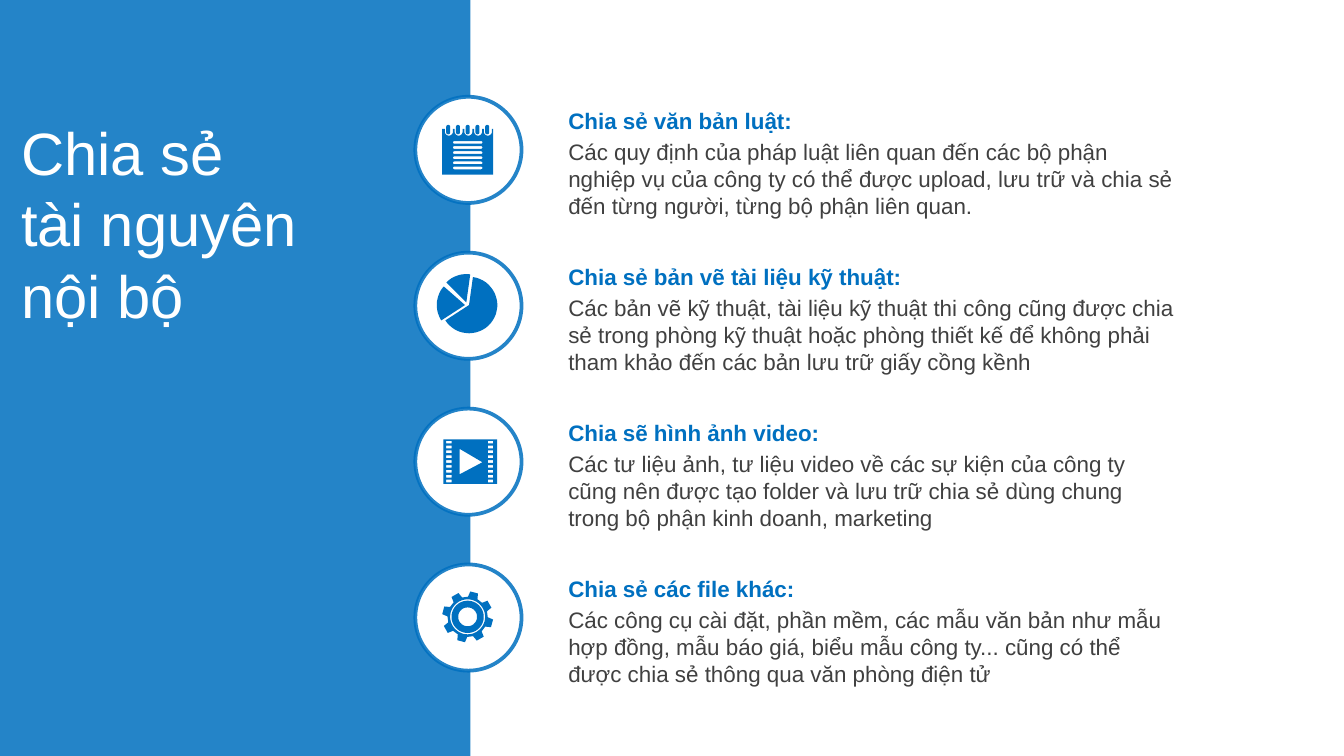
from dataclasses import dataclass
from math import cos, radians, sin

from lxml import etree
from pptx import Presentation
from pptx import util as u
from pptx.dml.color import RGBColor
from pptx.enum import shapes, text
from pptx.oxml import ns

WIDE = 10
HIGH = WIDE * 9 / 16


@dataclass(frozen=True)
class Theme:
    font: str = "Arial"
    blue: str = "0070C0"
    white: str = "FFFFFF"
    grey: str = "404040"
    big: int = 32
    small: int = 12


def arc(x, y, r, start, end, steps=12):
    turns = [radians(start + (end - start) * i / steps) for i in range(steps + 1)]
    return [(x + r * cos(t), y + r * sin(t)) for t in turns]


def ring(x, y, r):
    return arc(x, y, r, 0, 360, 48)


def box(x, y, w, h):
    return [(x, y), (x + w, y), (x + w, y + h), (x, y + h)]


def pill(x, y, w, h):
    r = min(w, h) / 2
    left, right, top, low = x + r, x + w - r, y + r, y + h - r
    return (arc(left, low, r, 90, 180, 4) + arc(left, top, r, 180, 270, 4)
            + arc(right, top, r, 270, 360, 4) + arc(right, low, r, 0, 90, 4))


def wedge(x, y, r, start, end):
    return [(x, y)] + arc(x, y, r, start, end, 32)


def note():
    mids = [3.34 + 0.29 * i / 4 for i in range(5)]
    page = [(3.29, 0.96)]
    for x in mids:
        page += [(x - 0.03, 0.96), *arc(x, 0.98, 0.03, 180, 0), (x + 0.03, 0.96)]
    page += [(3.67, 0.96), (3.67, 1.3), (3.29, 1.3)]
    lines = [pill(3.37, 1.05 + 0.19 * i / 5, 0.22, 0.02) for i in range(6)]
    return [page] + lines + [pill(x - 0.02, 0.93, 0.03, 0.07) for x in mids]


def pie():
    return [wedge(3.46, 2.27, 0.21, 147, 221),
            wedge(3.49, 2.27, 0.21, -82, 147),
            wedge(3.47, 2.25, 0.21, 225, 278)]


def film():
    holes = [box(x, 3.28 + 0.29 * i / 8, 0.04, 0.02)
             for x in (3.32, 3.63) for i in range(9)]
    return [box(3.3, 3.27, 0.4, 0.33), [(3.42, 3.34), (3.59, 3.44), (3.42, 3.53)]] + holes


def gear():
    x, y = 3.48, 4.59
    rim = []
    for i in range(8):
        mid = 45 * i - 75
        for r, turn in ((0.15, -14), (0.19, -9), (0.19, 9), (0.15, 14)):
            rim += arc(x, y, r, mid + turn, mid + turn, 1)[:1]
    return [rim] + [ring(x, y, r) for r in (0.13, 0.12, 0.07)]


class Deck:
    def __init__(self, theme):
        self.theme = theme
        self.file = Presentation()
        self.file.slide_width = u.Inches(WIDE)
        self.file.slide_height = u.Inches(HIGH)
        self.slide = self.file.slides.add_slide(self.file.slide_layouts[6])

    def fade(self, fill, part):
        color = fill._xPr.find(".//" + ns.qn("a:srgbClr"))
        etree.SubElement(color, ns.qn("a:alpha")).set("val", str(part * 1000))

    def paint(self, shape, color):
        shape.shadow.inherit = False
        shape.fill.solid()
        shape.fill.fore_color.rgb = RGBColor.from_string(color)
        shape.line.fill.background()

    def shape(self, kind, x, y, w, h, color):
        item = self.slide.shapes.add_shape(kind, *map(u.Inches, (x, y, w, h)))
        self.paint(item, color)
        return item

    def panel(self, x, y, w, h):
        item = self.shape(shapes.MSO_SHAPE.RECTANGLE, x, y, w, h, self.theme.blue)
        self.fade(item.fill, 86)

    def disc(self, x, y, size):
        item = self.shape(shapes.MSO_SHAPE.OVAL, x, y, size, size, self.theme.white)
        item.line.color.rgb = RGBColor.from_string(self.theme.blue)
        item.line.width = u.Pt(2)
        self.fade(item.line.fill, 85)

    def icon(self, paths):
        paths = [[(x * 1000, y * 1000) for x, y in path] for path in paths]
        pen = self.slide.shapes.build_freeform(*paths[0][0], scale=u.Inches(1) / 1000)
        pen.add_line_segments(paths[0][1:])
        for path in paths[1:]:
            pen.move_to(*path[0])
            pen.add_line_segments(path[1:])
        self.paint(pen.convert_to_shape(), self.theme.blue)

    def words(self, lines, x, y, w, h, size, color, bold=False, middle=False):
        frame = self.slide.shapes.add_textbox(*map(u.Inches, (x, y, w, h))).text_frame
        frame.word_wrap = True
        if middle:
            frame.vertical_anchor = text.MSO_ANCHOR.MIDDLE
        frame.text = lines
        for para in frame.paragraphs:
            para.font.name = self.theme.font
            para.font.size = u.Pt(size)
            para.font.bold = bold
            para.font.color.rgb = RGBColor.from_string(color)


ITEMS = [
    (note, "Chia sẻ văn bản luật:",
     "Các quy định của pháp luật liên quan đến các bộ phận nghiệp vụ của công ty "
     "có thể được upload, lưu trữ và chia sẻ đến từng người, từng bộ phận liên quan."),
    (pie, "Chia sẻ bản vẽ tài liệu kỹ thuật:",
     "Các bản vẽ kỹ thuật, tài liệu kỹ thuật thi công cũng được chia sẻ trong phòng "
     "kỹ thuật hoặc phòng thiết kế để không phải tham khảo đến các bản lưu trữ giấy cồng kềnh"),
    (film, "Chia sẽ hình ảnh video:",
     "Các tư liệu ảnh, tư liệu video về các sự kiện của công ty cũng nên được tạo folder "
     "và lưu trữ chia sẻ dùng chung trong bộ phận kinh doanh, marketing"),
    (gear, "Chia sẻ các file khác:",
     "Các công cụ cài đặt, phần mềm, các mẫu văn bản như mẫu hợp đồng, mẫu báo giá, "
     "biểu mẫu công ty... cũng có thể được chia sẻ thông qua văn phòng điện tử"),
]


def main():
    theme = Theme()
    deck = Deck(theme)
    deck.panel(0, 0, 3.5, HIGH)
    deck.words("Chia sẻ\ntài nguyên\nnội bộ", 0.06, 1.03, 3.23, 1.26,
               theme.big, theme.white, middle=True)
    for i, (draw, head, body) in enumerate(ITEMS):
        top = 0.72 + 1.16 * i
        deck.disc(3.09, top, 0.79)
        deck.icon(draw())
        deck.words(body, 4.13, top + 0.26, 4.72, 0.71, theme.small, theme.grey)
        deck.words(head, 4.13, top + 0.03, 4.72, 0.3, theme.small, theme.blue, bold=True)
    deck.file.save("out.pptx")


if __name__ == "__main__":
    main()
